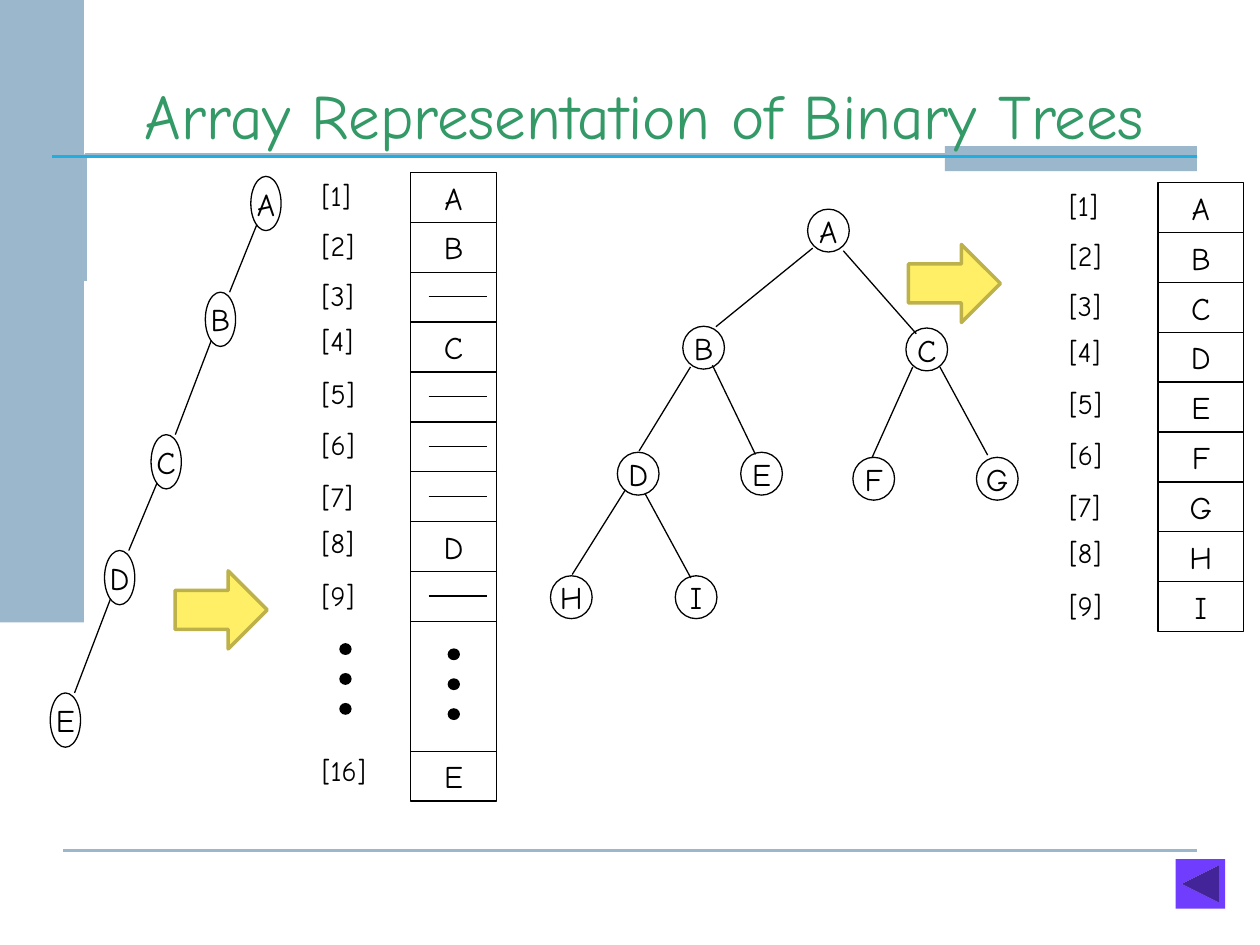
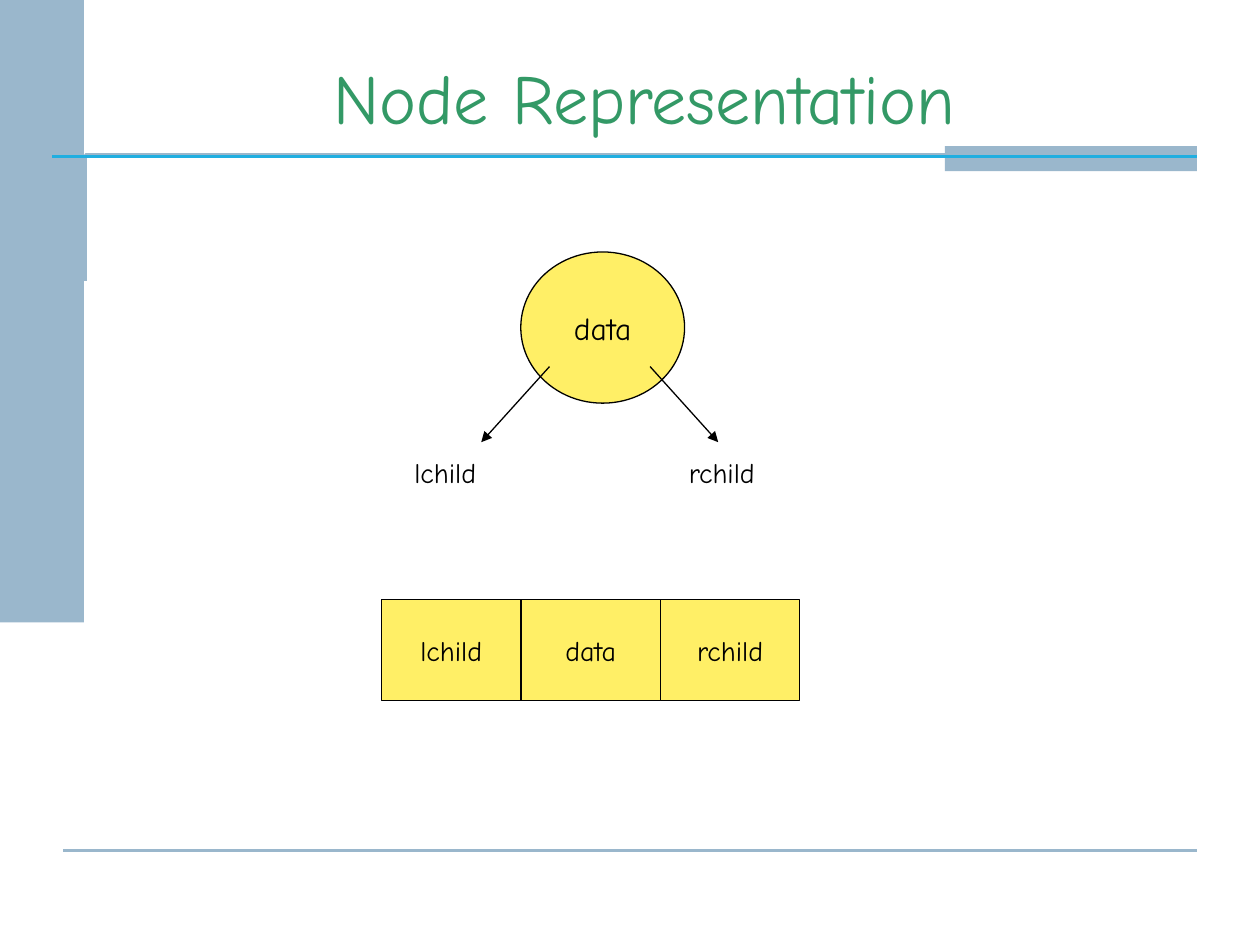
from dataclasses import dataclass

from lxml import etree
from pptx import Presentation
from pptx.dml.color import RGBColor
from pptx.enum import shapes as kinds, text as txt
from pptx.oxml.ns import qn
from pptx.util import Pt

KIND = kinds.MSO_SHAPE


@dataclass(frozen=True)
class Theme:
    font: str = "Comic Neue"
    ink: str = "000000"
    title: str = "339966"
    band: str = "9AB7CC"
    rule: str = "20AEE0"
    gold: str = "FFEF66"
    edge: str = "BDB14B"
    button: str = "703DFF"
    thin: float = 0.75
    label: int = 16
    node: int = 18


T = Theme()

# Titles: wording, top, type size
TITLES = [("Array Representation of Binary Trees", 35.3, 36),
          ("Node Representation", 27.4, 40)]

# Arrays: left, top, (index, value) rows; "" is an unused slot, None a gap
SKEW = [(1, "A"), (2, "B"), (3, ""), (4, "C"), (5, ""), (6, ""), (7, ""),
        (8, "D"), (9, ""), None, (16, "E")]
FULL = list(enumerate("ABCDEFGHI", 1))
ARRAYS = [(234.7, 98.6, SKEW), (661.7, 104.4, FULL)]
NUDGE = {4: -2.5, 5: -1, 6: -0.5, 7: 1, 8: -1.5, 9: 0.5, 16: -2}

# Trees: node size, node centres, edges as offsets from parent and child centre
SLOPE = (-5.2, 12, 5.2, -15.5)
CHAIN = ((17.3, 31),
         {"A": (152, 116.3), "B": (126, 182.5), "C": (95, 263.9),
          "D": (68.4, 330.1), "E": (37.4, 411.5)},
         {"AB": SLOPE, "BC": SLOPE, "CD": SLOPE, "DE": SLOPE})
TREE = ((23.8, 24.5),
        {"A": (473.4, 131.8), "B": (402.1, 198.7), "C": (529.6, 199.7),
         "D": (364.7, 270.7), "E": (435.2, 270.7), "F": (499.3, 273.6),
         "G": (569.9, 273.6), "H": (326.5, 341.3), "I": (397.8, 341.3)},
        {"AB": (-9, 10, 7, -12), "AC": (8.5, 11.5, -6, -9),
         "BD": (-7.5, 11, 0.5, -13), "BE": (5, 10, -3.5, -11),
         "CF": (-8, 10, -1, -12), "CG": (7.5, 10, -5.5, -13.5),
         "DH": (-7.5, 9.5, 0.5, -13), "DI": (4, 11.5, -3, -11)})
ARROWS = [(100.1, 326.2), (519.1, 139.7)]

FIELDS = ["lchild", "data", "rchild"]
LINKS = [("lchild", (314, 209.5), (275, 252.7), 229.7, 129),
         ("rchild", (371.5, 209.5), (410.4, 252.7), 386.6, 61)]


def color(code):
    return RGBColor.from_string(code)


def style(frame, size, hue=T.ink, align=None):
    for para in frame.paragraphs:
        para.alignment = align
        for run in para.runs:
            run.font.name, run.font.size = T.font, Pt(size)
            run.font.color.rgb = color(hue)


def paint(shape, fill=None, line=T.ink, width=T.thin):
    shape.shadow.inherit = False
    if fill:
        shape.fill.solid()
        shape.fill.fore_color.rgb = color(fill)
    else:
        shape.fill.background()
    if line:
        shape.line.color.rgb = color(line)
        shape.line.width = Pt(width)
    else:
        shape.line.fill.background()


def put(slide, kind, box, words="", size=T.node, **look):
    """Add a preset shape with optional centred text."""
    shape = slide.shapes.add_shape(kind, *map(Pt, box))
    paint(shape, **look)
    if words:
        frame = shape.text_frame
        frame.text = words
        frame.word_wrap = False
        frame.vertical_anchor = txt.MSO_ANCHOR.MIDDLE
        style(frame, size, align=txt.PP_ALIGN.CENTER)
    return shape


def link(slide, start, end, hue=T.ink, width=T.thin, head=False):
    """Add a straight line, with an arrowhead at its end if asked."""
    line = slide.shapes.add_connector(
        kinds.MSO_CONNECTOR.STRAIGHT, *map(Pt, (*start, *end)))
    line.line.color.rgb = color(hue)
    line.line.width = Pt(width)
    props = line.element.spPr
    if head:
        etree.SubElement(props.find(qn("a:ln")), qn("a:tailEnd"), type="triangle")
    etree.SubElement(props, qn("a:effectLst"))
    return line


def label(slide, words, left, top, width):
    frame = slide.shapes.add_textbox(*map(Pt, (left, top, width, 26.6))).text_frame
    frame.text = words
    frame.word_wrap = True
    style(frame, T.label)


def dress(slide, layout):
    """Draw the shared bands and rules, then hand them to the layout."""
    path = slide.shapes.build_freeform(Pt(49), Pt(160.6))
    path.add_line_segments([(Pt(49), Pt(88.6)), (Pt(673.2), Pt(88.6))], close=False)
    corner = path.convert_to_shape()
    paint(corner, line=T.band, width=2)
    parts = [corner,
             link(slide, (36, 486), (684, 486), T.band, 1.5),
             put(slide, KIND.RECTANGLE, (0, 0, 48, 355.7), fill=T.band, line=None),
             put(slide, KIND.RECTANGLE, (540, 83.5, 144, 14.4), fill=T.band, line=None),
             link(slide, (30, 89.3), (684, 89.3), T.rule, 1.5)]
    for spot, part in enumerate(parts, 2):
        layout.shapes.element.insert(spot, part.element)


def head(slide, words, top, size):
    title = slide.shapes.title
    title.left, title.top, title.width, title.height = map(Pt, (54, top, 628.6, 55.4))
    frame = title.text_frame
    frame.text = words
    frame.auto_size = txt.MSO_AUTO_SIZE.NONE
    frame.vertical_anchor = txt.MSO_ANCHOR.BOTTOM
    style(frame, size, T.title, txt.PP_ALIGN.CENTER)


def dots(slide, left, top):
    for step in range(3):
        put(slide, KIND.OVAL, (left, top + 17.1 * step, 6.3, 6), fill=T.ink)


def array(slide, left, top, rows):
    wide, step, gap = 49, 28.5, 74.2
    for row in rows:
        tall = step if row else gap
        index, value = row or (None, None)
        put(slide, KIND.RECTANGLE, (left, top, wide, tall), value)
        if row:
            label(slide, f"[{index}]", left - 57.9, top + NUDGE.get(index, 0),
                  36 if index < 10 else 44.6)
            if not value:
                link(slide, (left + 10.3, top + 14), (left + 43.5, top + 14))
        else:
            dots(slide, left + 21.5, top + 15.8)
            dots(slide, left - 40.4, top + 12.8)
        top += tall


def tree(slide, size, nodes, edges):
    wide, tall = size
    for name, (x, y) in nodes.items():
        put(slide, KIND.OVAL, (x - wide / 2, y - tall / 2, wide, tall), name)
    for (above, below), (dx, dy, ex, ey) in edges.items():
        (ax, ay), (bx, by) = nodes[above], nodes[below]
        link(slide, (ax + dx, ay + dy), (bx + ex, by + ey))


def trees(slide):
    for spec in ARRAYS:
        array(slide, *spec)
    put(slide, KIND.ACTION_BUTTON_BACK_OR_PREVIOUS, (671.8, 491, 28.3, 28.3),
        fill=T.button, line=None)
    for spec in (CHAIN, TREE):
        tree(slide, *spec)
    for x, y in ARROWS:
        put(slide, KIND.RIGHT_ARROW, (x, y, 52.6, 44.6),
            fill=T.gold, line=T.edge, width=2)


def node(slide):
    wide = 79.7
    for col, name in enumerate(FIELDS):
        put(slide, KIND.RECTANGLE, (218 + col * wide, 342.7, wide, 57.6), name,
            T.label, fill=T.gold)
    put(slide, KIND.OVAL, (297.6, 144, 93.6, 86.4), "data", fill=T.gold)
    for name, start, end, left, width in LINKS:
        link(slide, start, end, head=True)
        label(slide, name, left, 257, width)


def main():
    deck = Presentation()
    deck.slide_width, deck.slide_height = Pt(720), Pt(540)
    layout = deck.slide_layouts[5]
    for spot, (title, draw) in enumerate(zip(TITLES, (trees, node))):
        slide = deck.slides.add_slide(layout)
        if spot == 0:
            dress(slide, layout)
        head(slide, *title)
        draw(slide)
    deck.save("out.pptx")


if __name__ == "__main__":
    main()
